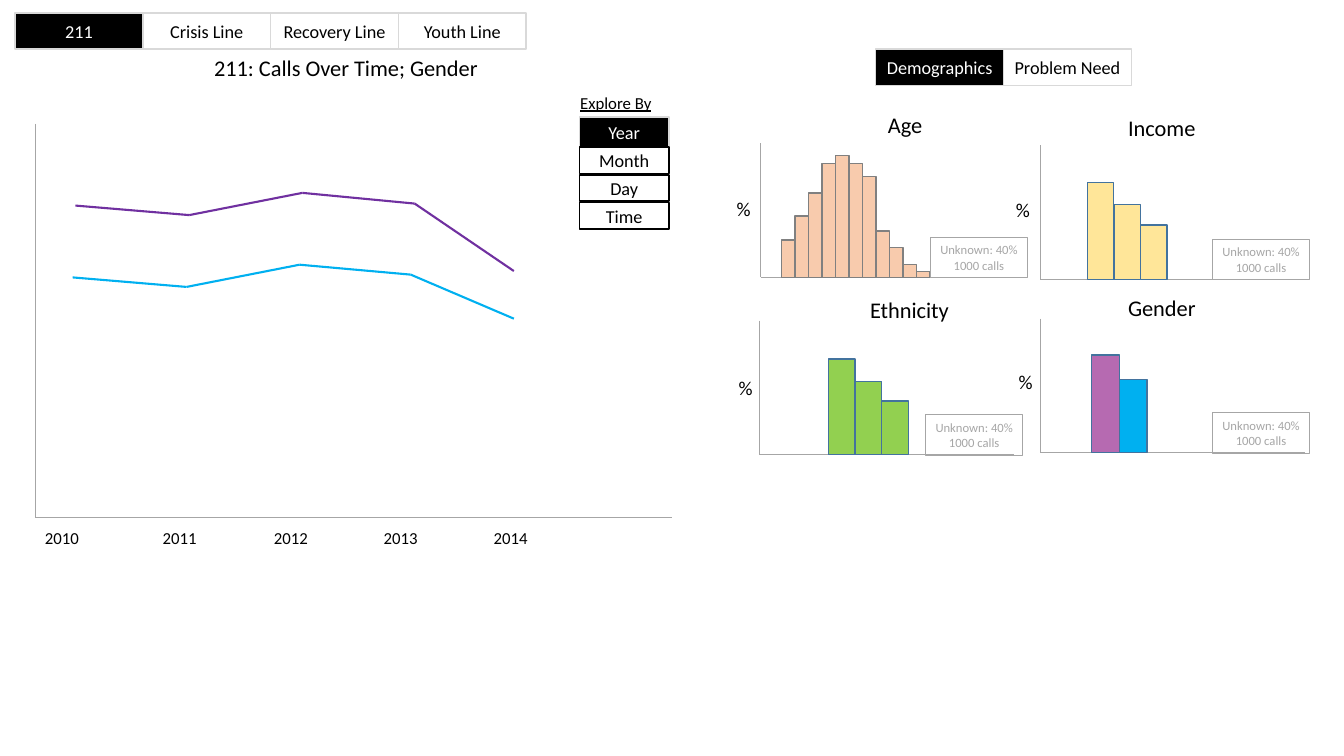
import itertools

import pptx
import pptx.dml.color
import pptx.enum.shapes
import pptx.enum.text
import pptx.oxml
import pptx.util

Cm, Pt = pptx.util.Cm, pptx.util.Pt
RGBColor = pptx.dml.color.RGBColor

FONT = "Calibri"
BLACK = RGBColor(0x00, 0x00, 0x00)
WHITE = RGBColor(0xFF, 0xFF, 0xFF)
TAB_EDGE = RGBColor(0xD9, 0xD9, 0xD9)
MUTED = RGBColor(0xA6, 0xA6, 0xA6)
PURPLE = RGBColor(0x70, 0x30, 0xA0)
BLUE = RGBColor(0x00, 0xB0, 0xF0)
PEACH = RGBColor(0xF8, 0xCB, 0xAD)
PEACH_EDGE = RGBColor(0x80, 0x80, 0x80)
YELLOW = RGBColor(0xFF, 0xE6, 0x99)
GREEN = RGBColor(0x92, 0xD0, 0x50)
MAUVE = RGBColor(0xB6, 0x6A, 0xB1)
BAR_EDGE = RGBColor(0x43, 0x73, 0x9E)


# Basic parts
def write(shape, lines, size, color, underline=False):
    frame = shape.text_frame
    frame.margin_left = frame.margin_right = 0
    frame.margin_top = frame.margin_bottom = 0
    frame.word_wrap = False
    frame.vertical_anchor = pptx.enum.text.MSO_ANCHOR.MIDDLE
    for index, line in enumerate(lines):
        paragraph = frame.add_paragraph() if index else frame.paragraphs[0]
        paragraph.alignment = pptx.enum.text.PP_ALIGN.CENTER
        run = paragraph.add_run()
        run.text = line
        run.font.name = FONT
        run.font.size = Pt(size)
        run.font.color.rgb = color
        if underline:
            run.font.underline = True


def add_label(slide, center, top, width, height, text, size, underline=False):
    label = slide.shapes.add_textbox(
        Cm(center - width / 2), Cm(top), Cm(width), Cm(height))
    write(label, [text], size, BLACK, underline)


def add_box(slide, left, top, width, height, fill, edge, weight=1):
    box = slide.shapes.add_shape(
        pptx.enum.shapes.MSO_SHAPE.RECTANGLE,
        Cm(left), Cm(top), Cm(width), Cm(height))
    box.shadow.inherit = False
    if fill is None:
        box.fill.background()
    else:
        box.fill.solid()
        box.fill.fore_color.rgb = fill
    box.line.color.rgb = edge
    box.line.width = Pt(weight)
    return box


def add_polyline(slide, points, color, weight):
    for (x1, y1), (x2, y2) in itertools.pairwise(points):
        segment = slide.shapes.add_connector(
            pptx.enum.shapes.MSO_CONNECTOR.STRAIGHT,
            Cm(x1), Cm(y1), Cm(x2), Cm(y2))
        segment.line.color.rgb = color
        segment.line.width = Pt(weight)
        segment._element.spPr.append(pptx.oxml.parse_xml(
            '<a:effectLst xmlns:a='
            '"http://schemas.openxmlformats.org/drawingml/2006/main"/>'))


def add_axes(slide, left, top, width, height):
    corner = (left, top + height)
    add_polyline(slide, [(left, top), corner, (left + width, top + height)],
                 MUTED, 0.5)


# Row of tabs, the first one selected
def add_tabs(slide, left, top, names):
    width, height = 3.22, 0.91
    for index, name in enumerate(names):
        selected = index == 0
        tab = add_box(slide, left + index * width, top, width, height,
                      BLACK if selected else None, TAB_EDGE)
        write(tab, [name], 13, WHITE if selected else BLACK)


# Calls over time, one line per gender
def add_trend(slide, left, top, width, height):
    add_label(slide, left + 7.83, top - 1.88, 7.24, 0.94,
              "211: Calls Over Time; Gender", 16)
    add_axes(slide, left, top, width, height)
    year_x = [0.67, 3.64, 6.44, 9.21, 11.98]
    for year, x in enumerate(year_x, start=2010):
        add_label(slide, left + x, top + height + 0.15, 1.4, 0.76,
                  str(year), 12)
    trends = [
        (PURPLE, [(1.01, 2.06), (3.88, 2.3), (6.73, 1.74),
                  (9.56, 2.01), (12.06, 3.71)]),
        (BLUE, [(0.94, 3.87), (3.81, 4.11), (6.66, 3.55),
                (9.46, 3.8), (12.06, 4.91)]),
    ]
    for color, points in trends:
        add_polyline(slide, [(left + x, top + y) for x, y in points],
                     color, 1.5)


# Time-scale buttons under their heading
def add_explore(slide, left, top, width):
    add_label(slide, left + 0.92, top, 2.34, 0.76, "Explore By", 12, True)
    year = add_box(slide, left, top + 0.74, width, 0.76, BLACK, TAB_EDGE)
    write(year, ["Year"], 13, WHITE)
    for index, name in enumerate(["Month", "Day", "Time"]):
        button = add_box(slide, left, top + 1.5 + index * 0.7, width, 0.66,
                         WHITE, BLACK)
        write(button, [name], 13, BLACK)


# Small bar panel; every offset is measured from the box's top left
def add_panel(slide, left, top, width, height, title, title_at, percent_at,
              unknown_x, bar_x, bar_width, bar_heights, fills, edge):
    add_axes(slide, left, top, width, height)
    add_label(slide, left + title_at[0], top + title_at[1], 2.5, 0.94,
              title, 16)
    for index, (bar, fill) in enumerate(
            zip(bar_heights, itertools.cycle(fills))):
        add_box(slide, left + bar_x + index * bar_width, top + height - bar,
                bar_width, bar, fill, edge)
    unknown = add_box(slide, left + unknown_x, top + 2.37, 2.46, 1.02,
                      None, MUTED, 0.75)
    write(unknown, ["Unknown: 40%", "1000 calls"], 9, MUTED)
    add_label(slide, left + percent_at[0], top + percent_at[1], 0.86, 0.86,
              "%", 14)


deck = pptx.Presentation()
deck.slide_width, deck.slide_height = Cm(33.87), Cm(19.05)
slide = deck.slides.add_slide(deck.slide_layouts[6])

# Left half
add_tabs(slide, 0.38, 0.33,
         ["211", "Crisis Line", "Recovery Line", "Youth Line"])
add_trend(slide, 0.89, 3.12, 16.05, 9.91)
add_explore(slide, 14.6, 2.21, 2.26)

# Right half
add_tabs(slide, 22.07, 1.24, ["Demographics", "Problem Need"])
add_panel(slide, 19.17, 3.61, 6.39, 3.38, "Age", (3.64, -0.94),
          (-0.43, 1.22), 4.27, 0.53, 0.34,
          [0.94, 1.55, 2.13, 2.87, 3.07, 2.87, 2.54, 1.17, 0.76, 0.33, 0.15],
          [PEACH], PEACH_EDGE)
add_panel(slide, 26.21, 3.66, 6.68, 3.38, "Income", (3.07, -0.91),
          (-0.43, 1.19), 4.34, 1.19, 0.67, [2.44, 1.88, 1.37],
          [YELLOW], BAR_EDGE)
add_panel(slide, 19.15, 8.08, 6.4, 3.38, "Ethnicity", (3.77, -0.76),
          (-0.36, 1.27), 4.17, 1.73, 0.67, [2.41, 1.85, 1.35],
          [GREEN], BAR_EDGE)
add_panel(slide, 26.21, 8.03, 6.68, 3.38, "Gender", (3.07, -0.74),
          (-0.36, 1.17), 4.34, 1.3, 0.7, [2.46, 1.85],
          [MAUVE, BLUE], BAR_EDGE)

deck.save("out.pptx")
